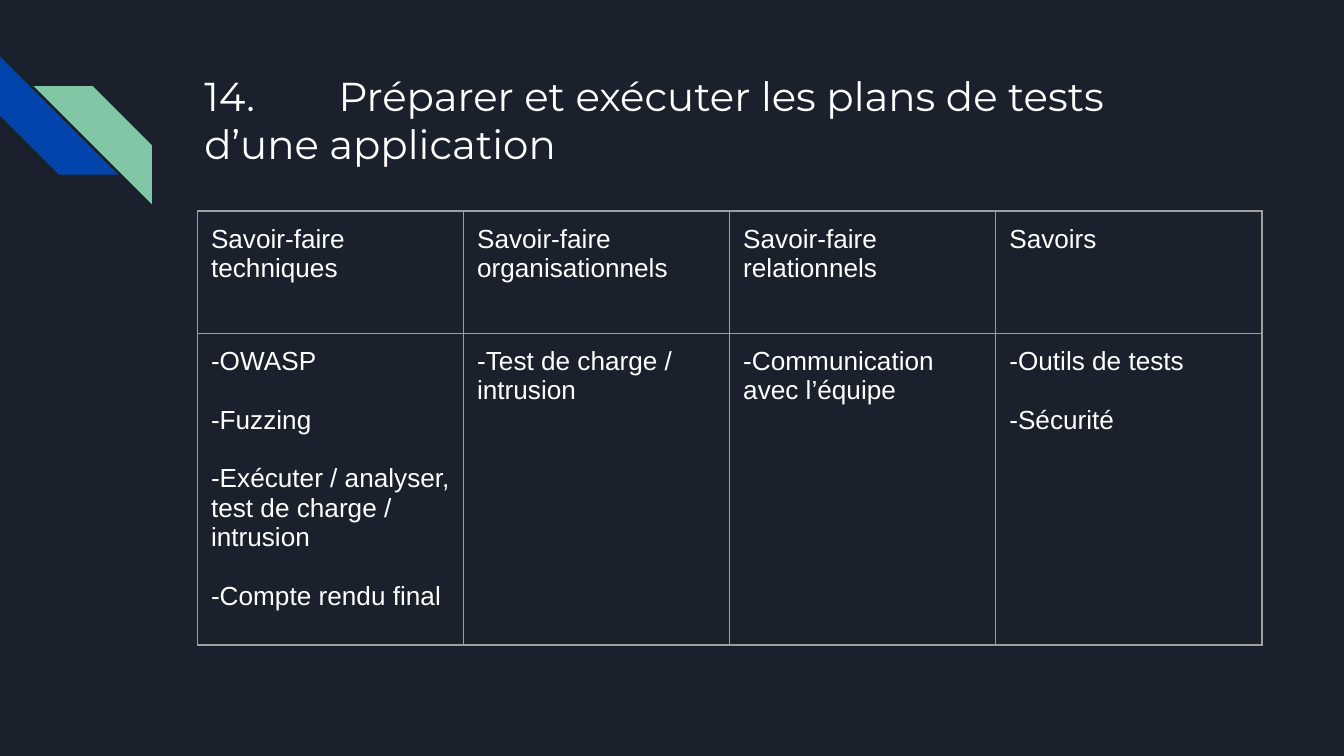
from lxml import etree
from pptx import Presentation
from pptx.dml.color import RGBColor
from pptx.enum.shapes import MSO_SHAPE
from pptx.enum.text import MSO_ANCHOR, MSO_AUTO_SIZE, PP_ALIGN
from pptx.oxml.ns import qn
from pptx.util import Inches, Pt

STRIPE = MSO_SHAPE.DIAGONAL_STRIPE
TOP, LEFT, NO_FIT = MSO_ANCHOR.TOP, PP_ALIGN.LEFT, MSO_AUTO_SIZE.NONE

# Content
TITLE = "14.\tPréparer et exécuter les plans de tests d’une application"
SKILLS = {
    "Savoir-faire techniques": [
        "-OWASP",
        "-Fuzzing",
        "-Exécuter / analyser, test de charge / intrusion",
        "-Compte rendu final",
    ],
    "Savoir-faire organisationnels": ["-Test de charge / intrusion"],
    "Savoir-faire relationnels": ["-Communication avec l’équipe"],
    "Savoirs": ["-Outils de tests", "-Sécurité"],
}

# Format
COLORS = {"background": "1B212C", "blue": "0145AC", "green": "82C7A5",
          "text": "FFFFFF", "border": "9E9E9E"}
SLIDE_WIDTH = Inches(10)
SLIDE_HEIGHT = SLIDE_WIDTH * 9 // 16
STRIPES = [(0, 0.42, 270, "blue"), (0.25, 0.64, 90, "green")]
STRIPE_SIZE = Inches(0.88)
TITLE_FONT = {"name": "Montserrat", "size": Pt(21.6), "bold": False}
CELL_FONT = {"name": "Arial", "size": Pt(14), "bold": False}
MARGINS = {f"margin_{side}": Inches(0.1) for side in ("left", "top", "right", "bottom")}
TITLE_FRAME = {**MARGINS, "word_wrap": True, "auto_size": NO_FIT, "vertical_anchor": TOP}
CELL_FRAME = {**MARGINS, "vertical_anchor": TOP}
COLUMN_WIDTH = Inches(1.98)
ROW_HEIGHTS = [Inches(0.91), Inches(2.32)]
ITEM_GAP = Pt(15.7)


def apply(target, values):
    for name, value in values.items():
        setattr(target, name, value)


def rgb(name):
    return RGBColor.from_string(COLORS[name])


def style_font(font, values):
    apply(font, values)
    font.color.rgb = rgb("text")


def add_borders(cell):
    properties = cell._tc.get_or_add_tcPr()
    for index, edge in enumerate(("a:lnL", "a:lnR", "a:lnT", "a:lnB")):
        line = etree.Element(qn(edge), w=str(Pt(0.75)))
        fill = etree.SubElement(line, qn("a:solidFill"))
        etree.SubElement(fill, qn("a:srgbClr"), val=COLORS["border"])
        properties.insert(index, line)


def fill_cell(cell, items):
    cell.fill.background()
    add_borders(cell)
    apply(cell, CELL_FRAME)
    for index, item in enumerate(items):
        frame = cell.text_frame
        paragraph = frame.add_paragraph() if index else frame.paragraphs[0]
        paragraph.text = item
        if index:
            paragraph.space_before = ITEM_GAP
        style_font(paragraph.runs[0].font, CELL_FONT)


prs = Presentation()
prs.slide_width, prs.slide_height = SLIDE_WIDTH, SLIDE_HEIGHT
slide = prs.slides.add_slide(prs.slide_layouts[5])
slide.background.fill.solid()
slide.background.fill.fore_color.rgb = rgb("background")

# Corner stripes
for left, top, rotation, color in STRIPES:
    stripe = slide.shapes.add_shape(STRIPE, Inches(left), Inches(top), STRIPE_SIZE, STRIPE_SIZE)
    stripe.rotation = rotation
    stripe.shadow.inherit = False
    stripe.fill.solid()
    stripe.fill.fore_color.rgb = rgb(color)
    stripe.line.fill.background()

# Title, with a tab stop after the number
title = slide.shapes.title
apply(title, {"left": Inches(1.42), "top": Inches(0.43),
              "width": Inches(7.7), "height": Inches(1)})
apply(title.text_frame, TITLE_FRAME)
heading = title.text_frame.paragraphs[0]
heading.text = TITLE
heading.alignment = LEFT
tabs = etree.SubElement(heading._p.get_or_add_pPr(), qn("a:tabLst"))
etree.SubElement(tabs, qn("a:tab"), pos=str(Inches(1)), algn="l")
style_font(heading.runs[0].font, TITLE_FONT)

# Skills table
table = slide.shapes.add_table(
    len(ROW_HEIGHTS), len(SKILLS), Inches(1.47), Inches(1.57),
    COLUMN_WIDTH * len(SKILLS), sum(ROW_HEIGHTS)).table
apply(table, {"first_row": False, "horz_banding": False})
for row, height in zip(table.rows, ROW_HEIGHTS):
    row.height = height
for column, (category, items) in enumerate(SKILLS.items()):
    table.columns[column].width = COLUMN_WIDTH
    fill_cell(table.cell(0, column), [category])
    fill_cell(table.cell(1, column), items)

prs.save("out.pptx")
